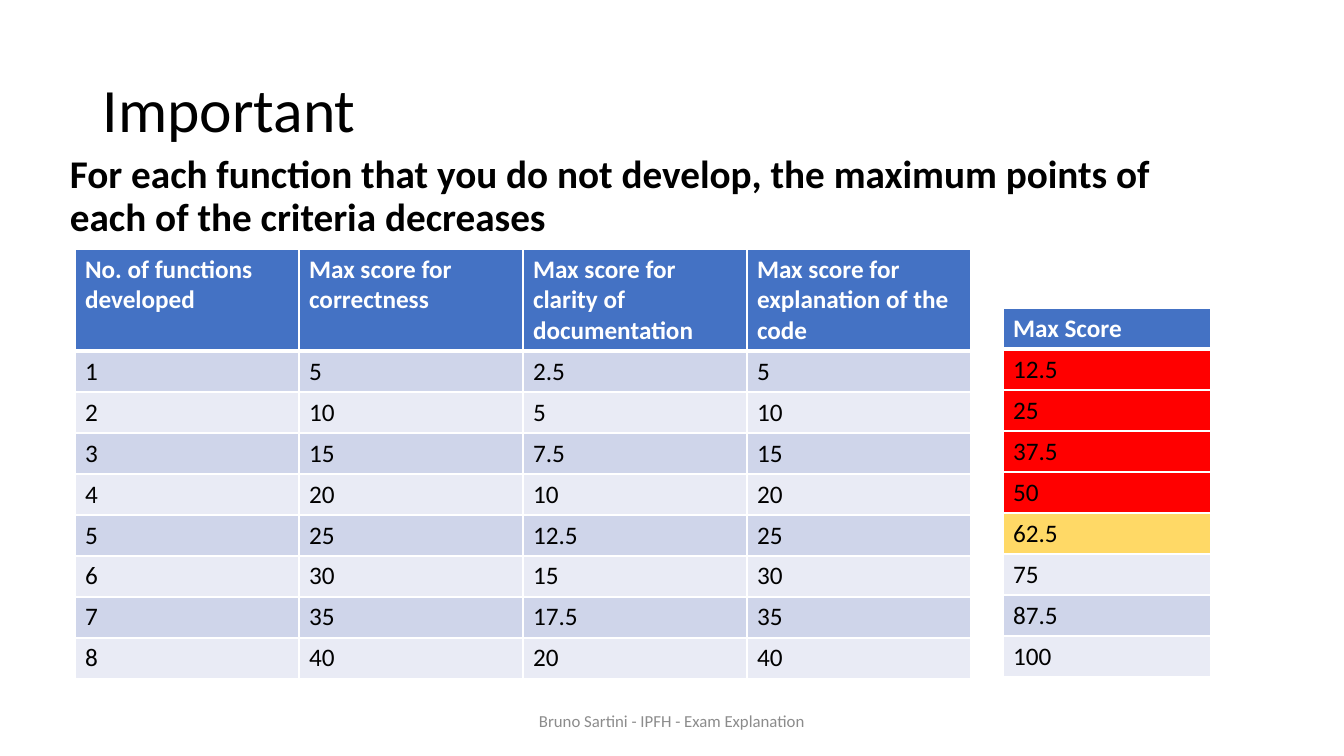
import dataclasses

import lxml.etree
import pptx
import pptx.dml.color
import pptx.enum.text
import pptx.oxml.ns
import pptx.util

PX = 914400 / 100.8
ALIGN = pptx.enum.text.PP_ALIGN
ANCHOR = pptx.enum.text.MSO_ANCHOR


@dataclasses.dataclass(frozen=True)
class Theme:
    """Colours, font and type sizes of the slide."""
    font: str = "Calibri"
    ink: str = "000000"
    white: str = "FFFFFF"
    muted: str = "8C8C8C"
    header: str = "4472C4"
    bands: tuple = ("CFD5EA", "E9EBF5")
    fail: str = "FF0000"
    borderline: str = "FFD966"
    title: int = 44
    body: int = 28
    cell: int = 18
    footer: int = 12


def px(n):
    """Turn picture pixels into EMU."""
    return pptx.util.Emu(round(n * PX))


def rgb(code):
    """Turn a hex code into a colour."""
    return pptx.dml.color.RGBColor.from_string(code)


class Deck:
    """Holds the theme and the current slide, and adds elements to it."""

    def __init__(self, s, theme):
        """Keep the slide and its theme."""
        self.s, self.theme = s, theme

    def run(self, p, text, size, color, bold=False):
        """Add one styled run to a paragraph."""
        r = p.add_run()
        r.text = text
        r.font.name, r.font.size = self.theme.font, pptx.util.Pt(size)
        r.font.bold, r.font.color.rgb = bold, rgb(color)

    def text(self, box, text, size, color, bold=False, anchor=ANCHOR.TOP,
             align=ALIGN.LEFT, spacing=1.0, before=0):
        """Add a wrapping text box with one paragraph."""
        tf = self.s.shapes.add_textbox(*map(px, box)).text_frame
        tf.word_wrap, tf.vertical_anchor = True, anchor
        p = tf.paragraphs[0]
        p.alignment, p.line_spacing = align, spacing
        p.space_before = pptx.util.Pt(before)
        self.run(p, text, size, color, bold)

    def border(self, cell, side, width):
        """Draw one white cell border, width in points."""
        ln = lxml.etree.SubElement(cell._tc.get_or_add_tcPr(),
                                   pptx.oxml.ns.qn(f"a:ln{side}"),
                                   w=str(pptx.util.Pt(width)))
        fill = lxml.etree.SubElement(ln, pptx.oxml.ns.qn("a:solidFill"))
        lxml.etree.SubElement(fill, pptx.oxml.ns.qn("a:srgbClr"),
                              val=self.theme.white)

    def table(self, left, top, col_width, header_height, row_height, rows, fills):
        """Add a table with a header row and one fill per body row."""
        t, n_cols = self.theme, len(rows[0])
        heights = [header_height] + [row_height] * (len(rows) - 1)
        table = self.s.shapes.add_table(
            len(rows), n_cols, px(left), px(top),
            px(col_width * n_cols), px(sum(heights))).table
        for col in table.columns:
            col.width = px(col_width)
        for i, (values, height, fill) in enumerate(
                zip(rows, heights, [t.header, *fills])):
            table.rows[i].height = px(height)
            head = i == 0
            widths = {"L": 1, "R": 1, "T": 3 if i == 1 else 1, "B": 3 if head else 1}
            for j, value in enumerate(values):
                cell = table.cell(i, j)
                for side, width in widths.items():
                    self.border(cell, side, width)
                cell.fill.solid()
                cell.fill.fore_color.rgb = rgb(fill)
                self.run(cell.text_frame.paragraphs[0], value, t.cell,
                         t.white if head else t.ink, head)


def score_row(n):
    """Give the function count and its three maximum scores."""
    return [f"{v:g}" for v in (n, 5 * n, 2.5 * n, 5 * n)]


def main():
    """Build the slide and save it."""
    prs = pptx.Presentation()
    prs.slide_width, prs.slide_height = px(1344), px(756)
    theme = Theme()
    deck = Deck(prs.slides.add_slide(prs.slide_layouts[6]), theme)

    deck.text((93, 40, 1159, 146), "Important", theme.title, theme.ink,
              anchor=ANCHOR.MIDDLE, spacing=0.9)
    deck.text((60, 150, 1159, 480),
              "For each function that you do not develop, the maximum points of "
              "each of the criteria decreases",
              theme.body, theme.ink, bold=True, spacing=0.9, before=10)

    counts = range(1, 9)
    bands = [theme.bands[(n - 1) % 2] for n in counts]
    headings = ["No. of functions developed", "Max score for correctness",
                "Max score for clarity of documentation",
                "Max score for explanation of the code"]
    deck.table(75, 249, 224, 102, 41,
               [headings] + [score_row(n) for n in counts], bands)

    totals = [["Max Score"]] + [[f"{12.5 * n:g}"] for n in counts]
    total_fills = [theme.fail] * 4 + [theme.borderline] + bands[5:]
    deck.table(1003, 308, 208, 41, 41, totals, total_fills)

    deck.text((445, 701, 454, 40), "Bruno Sartini - IPFH - Exam Explanation",
              theme.footer, theme.muted, anchor=ANCHOR.MIDDLE, align=ALIGN.CENTER)
    prs.save("out.pptx")


main()
